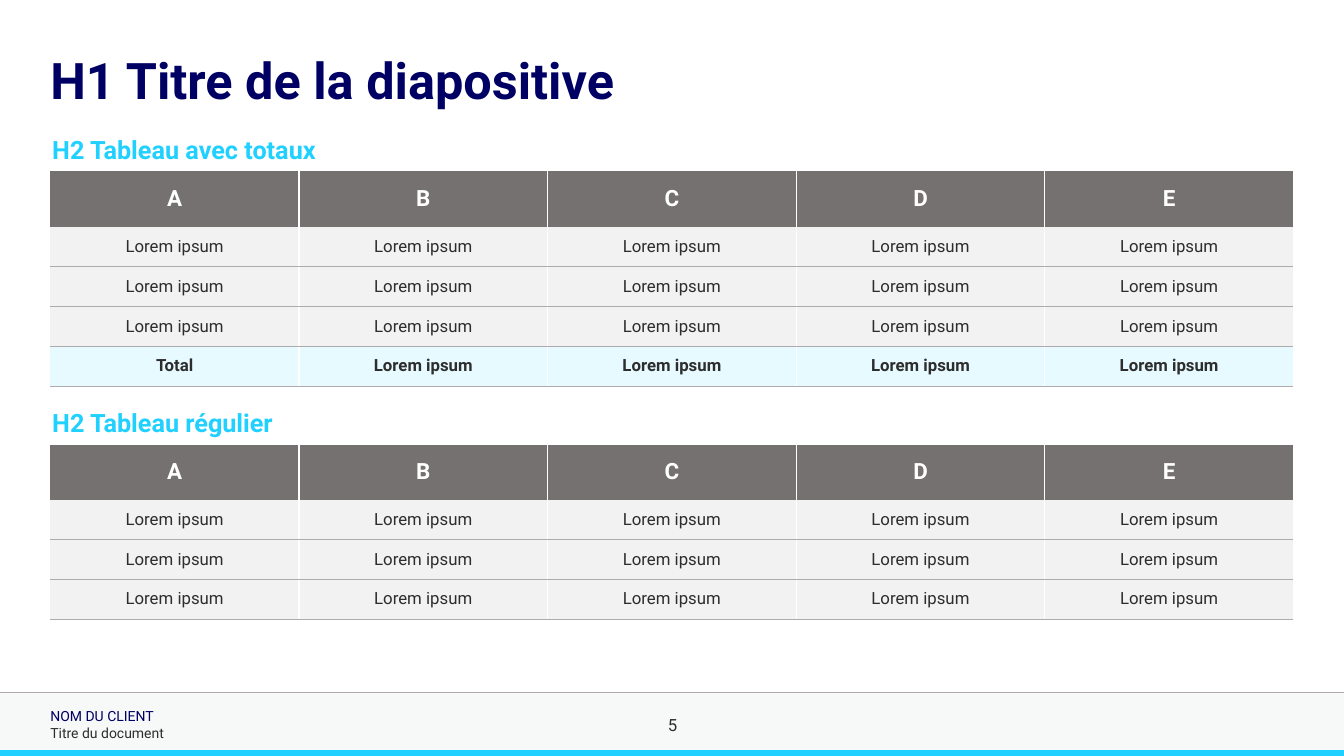
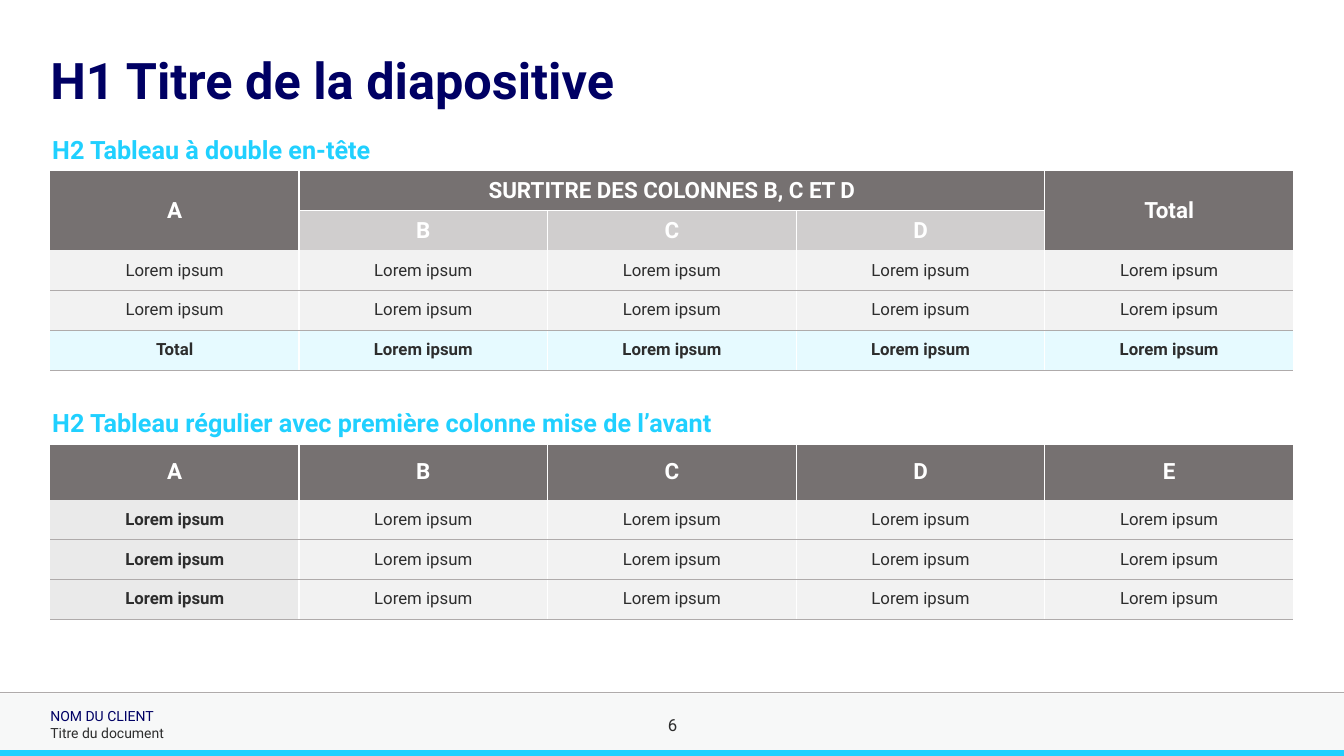
from dataclasses import dataclass

from lxml.etree import SubElement
from pptx import Presentation
from pptx.dml.color import RGBColor
from pptx.enum.shapes import MSO_CONNECTOR, MSO_SHAPE
from pptx.enum.text import MSO_ANCHOR, PP_ALIGN
from pptx.oxml.ns import qn
from pptx.util import Inches, Pt

FONT = "Roboto"
PLAIN = "{2D5ABB26-0587-4C30-8999-92F81FD0307C}"
WIDE, TALL = 13.33, 7.5
LEFT, SPAN = 0.5, 12.33
HUES = {
    "navy": "000064",
    "cyan": "20D0FF",
    "ink": "2D2D2D",
    "white": "FFFFFF",
    "rule": "AFABAB",
    "foot": "F1F2F2",
    "head": "767171",
    "sub": "D0CECE",
    "body": "F2F2F2",
    "lead": "EAEAEA",
    "total": "E6FAFF",
}


@dataclass(frozen=True)
class Line:
    hue: str
    width: float


THIN = Line("rule", 0.25)
GAP = Line("white", 1)


@dataclass(frozen=True)
class Style:
    fill: str
    ink: str
    size: float
    bold: bool
    under: Line | None


STYLES = {
    "head": Style("head", "white", 16, True, None),
    "over": Style("head", "white", 16, True, GAP),
    "sub": Style("sub", "white", 16, True, None),
    "body": Style("body", "ink", 12, False, THIN),
    "lead": Style("lead", "ink", 12, True, THIN),
    "total": Style("total", "ink", 12, True, THIN),
}


@dataclass(frozen=True)
class Cell:
    text: str
    style: Style


@dataclass(frozen=True)
class Sheet:
    """A titled table; rows after the first share the height left."""
    title: str
    top: float
    high: float
    head: float
    rows: list[list[Cell]]
    merges: tuple[tuple[int, int, int, int], ...] = ()


def row(texts: list[str], *names: str) -> list[Cell]:
    """Pair texts with style names; the last name goes on to the end."""
    names += names[-1:] * (len(texts) - len(names))
    return [Cell(text, STYLES[name]) for text, name in zip(texts, names)]


def color(hue: str) -> RGBColor:
    return RGBColor.from_string(HUES[hue])


def format_para(para, size: float, hue: str, bold: bool = False) -> None:
    for run in para.runs:
        font = run.font
        font.name, font.size, font.bold = FONT, Pt(size), bold
        font.color.rgb = color(hue)


def add_text(slide, box: tuple, text: str, size: float, hue: str,
             bold: bool = False, inset: bool = True):
    frame = slide.shapes.add_textbox(*map(Inches, box)).text_frame
    frame.word_wrap = True
    if not inset:
        frame.margin_left = frame.margin_right = 0
        frame.margin_top = frame.margin_bottom = 0
    frame.text = text
    for para in frame.paragraphs:
        format_para(para, size, hue, bold)
    return frame


def add_band(slide, top: float, high: float, hue: str):
    band = slide.shapes.add_shape(
        MSO_SHAPE.RECTANGLE, 0, Inches(top), Inches(WIDE), Inches(high))
    band.shadow.inherit = False
    band.fill.solid()
    band.fill.fore_color.rgb = color(hue)
    band.line.fill.background()
    return band


def add_frame(slide, page: int) -> None:
    """Draw the title and footer that all slides share."""
    foot = add_band(slide, 6.88, 0.58, "foot")
    tint = foot.fill._xPr.find(f".//{qn('a:srgbClr')}")
    SubElement(tint, qn("a:alpha"), val="50000")
    strip = add_band(slide, 7.45, 0.04, "cyan")
    strip.line.color.rgb = color("cyan")
    strip.line.width = Pt(1)

    edge = slide.shapes.add_connector(
        MSO_CONNECTOR.STRAIGHT, 0, Inches(6.87), Inches(WIDE), Inches(6.87))
    edge.line.color.rgb = color(THIN.hue)
    edge.line.width = Pt(THIN.width)
    SubElement(edge._element.spPr, qn("a:effectLst"))

    client = add_text(slide, (LEFT, 7.02, 4.38, 0.34),
                      "NOM DU CLIENT\nTitre du document", 10, "ink",
                      inset=False)
    format_para(client.paragraphs[0], 10, "navy")
    title = add_text(slide, (LEFT, 0.56, SPAN, 0.91),
                     "H1 Titre de la diapositive", 36, "navy", True, False)
    title.paragraphs[0].line_spacing = 0.9
    number = add_text(slide, (5.17, 6.99, 3, 0.4), str(page), 12, "ink")
    number.vertical_anchor = MSO_ANCHOR.MIDDLE
    number.paragraphs[0].alignment = PP_ALIGN.CENTER


def set_edge(cell, side: str, line: Line | None) -> None:
    props = cell._tc.get_or_add_tcPr()
    edge = SubElement(props, qn(f"a:ln{side}"))
    if line is None:
        edge.set("w", "0")
        SubElement(edge, qn("a:noFill"))
        return
    edge.set("w", str(Pt(line.width)))
    fill = SubElement(edge, qn("a:solidFill"))
    SubElement(fill, qn("a:srgbClr"), val=HUES[line.hue])


def fill_cell(cell, item: Cell) -> None:
    style = item.style
    cell.fill.solid()
    cell.fill.fore_color.rgb = color(style.fill)
    cell.vertical_anchor = MSO_ANCHOR.MIDDLE
    cell.text_frame.text = item.text
    para = cell.text_frame.paragraphs[0]
    para.alignment = PP_ALIGN.CENTER
    format_para(para, style.size, style.ink, style.bold)


def add_sheet(slide, sheet: Sheet) -> None:
    add_text(slide, (0.42, sheet.top - 0.42, 8.97, 0.4),
             sheet.title, 18, "cyan", True)
    rows = sheet.rows
    count, last = len(rows), len(rows[0]) - 1
    table = slide.shapes.add_table(
        count, last + 1, Inches(LEFT), Inches(sheet.top),
        Inches(SPAN), Inches(sheet.high)).table
    table.first_row = table.horz_banding = False
    table._tbl.tblPr.find(qn("a:tableStyleId")).text = PLAIN
    rest = (sheet.high - sheet.head) / (count - 1)
    for r, items in enumerate(rows):
        table.rows[r].height = Inches(rest if r else sheet.head)
        for c, item in enumerate(items):
            cell = table.cell(r, c)
            set_edge(cell, "L", GAP if c else None)
            set_edge(cell, "R", GAP if c < last else None)
            set_edge(cell, "T", rows[r - 1][c].style.under if r else None)
            set_edge(cell, "B", item.style.under)
            fill_cell(cell, item)
    for top, left, end, right in sheet.merges:
        table.cell(top, left).merge(table.cell(end, right))


LOREM = ["Lorem ipsum"] * 5
HEAD = row(list("ABCDE"), "head")
BODY = row(LOREM, "body")
LEAD = row(LOREM, "lead", "body")
TOTAL = row(["Total"] + LOREM[1:], "total")
OVER = row(["A", "SURTITRE DES COLONNES B, C ET D", "", "", "Total"],
           "head", "over", "over", "over", "head")
SUB = row(["", "B", "C", "D", ""], "head", "sub", "sub", "sub", "head")
HIGH, LOW = 1.7, 4.41

PAGES = {
    5: [
        Sheet("H2 Tableau avec totaux", HIGH, 2.13, 0.55,
              [HEAD, BODY, BODY, BODY, TOTAL]),
        Sheet("H2 Tableau régulier", LOW, 1.73, 0.55,
              [HEAD, BODY, BODY, BODY]),
    ],
    6: [
        Sheet("H2 Tableau à double en-tête", HIGH, 1.97, 0.39,
              [OVER, SUB, BODY, BODY, TOTAL],
              ((0, 0, 1, 0), (0, 1, 0, 3), (0, 4, 1, 4))),
        Sheet("H2 Tableau régulier avec première colonne mise de l’avant",
              LOW, 1.73, 0.55, [HEAD, LEAD, LEAD, LEAD]),
    ],
}


def main() -> None:
    deck = Presentation()
    deck.slide_width, deck.slide_height = Inches(WIDE), Inches(TALL)
    for page, sheets in PAGES.items():
        slide = deck.slides.add_slide(deck.slide_layouts[6])
        add_frame(slide, page)
        for sheet in sheets:
            add_sheet(slide, sheet)
    deck.save("out.pptx")


if __name__ == "__main__":
    main()
